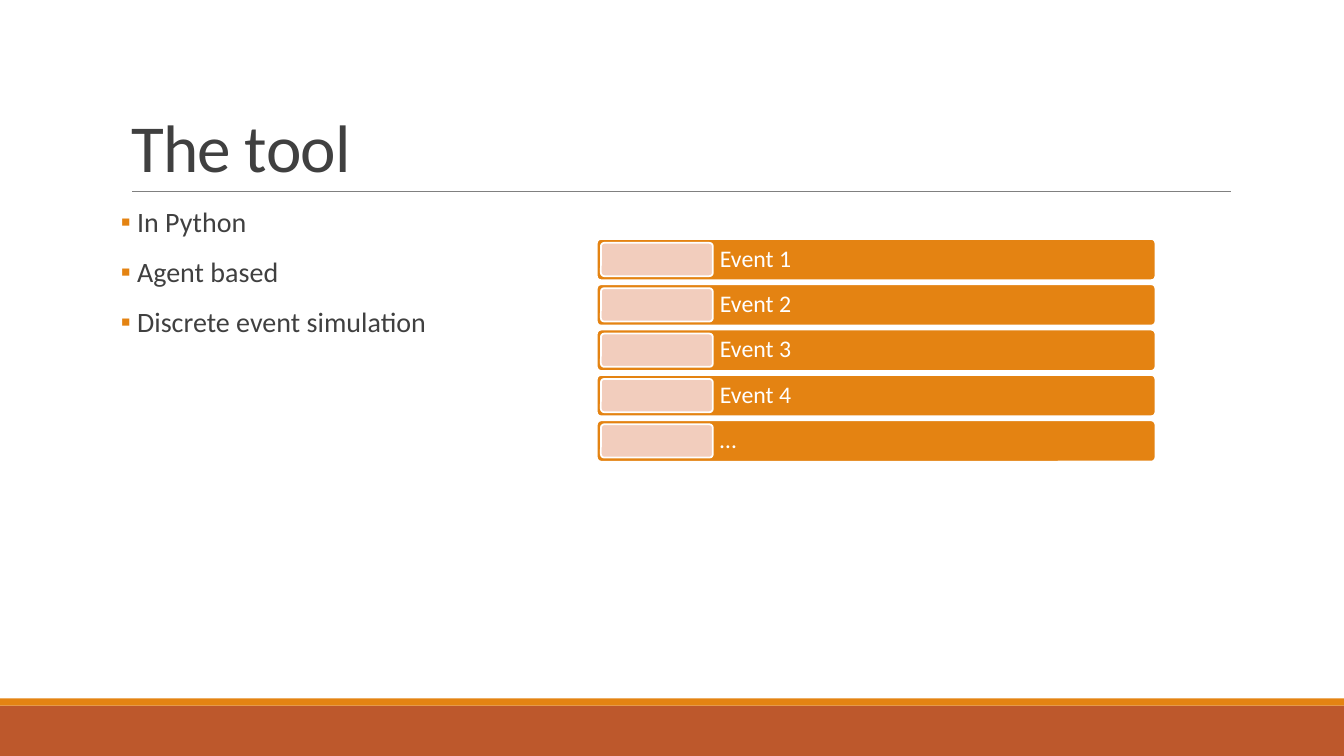
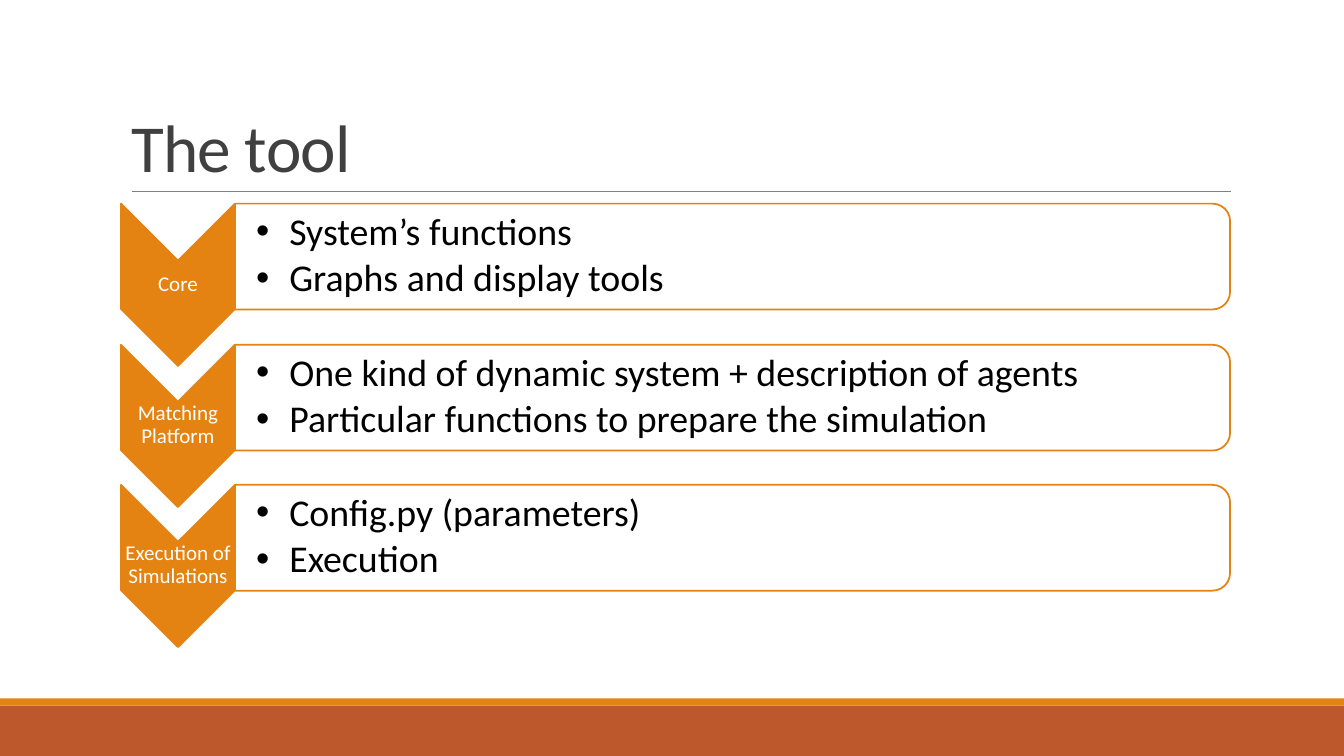
import dataclasses
import typing

import lxml.etree
import pptx
import pptx.dml.color
import pptx.enum.shapes
import pptx.enum.text
import pptx.oxml.ns
import pptx.util

EMU_PER_PX = 9144
FONT = "Calibri"
ORANGE = "E48312"
RUST = "BD582C"
PINK = "F2CDBD"
WHITE = "FFFFFF"
BLACK = "000000"
INK = "404040"
GREY = "808080"

SHAPE = pptx.enum.shapes.MSO_SHAPE
ALIGN = pptx.enum.text.PP_ALIGN
ANCHOR = pptx.enum.text.MSO_ANCHOR


@dataclasses.dataclass(frozen=True)
class Area:
    left: int
    top: int
    width: int
    height: int

    def down(self, distance: int) -> "Area":
        return dataclasses.replace(self, top=self.top + distance)

    def turned(self) -> "Area":
        shift = (self.width - self.height) // 2
        return Area(self.left + shift, self.top - shift, self.height, self.width)


@dataclasses.dataclass(frozen=True)
class Bullet:
    sign: str
    font: str
    color: str
    indent: int


@dataclasses.dataclass(frozen=True)
class TextStyle:
    size: int
    color: str
    line_spacing: float = 0.9
    before: int = 0
    after: int = 0
    align: ALIGN = ALIGN.LEFT
    anchor: ANCHOR = ANCHOR.MIDDLE
    insets: tuple[int, int, int, int] = (0, 0, 0, 0)
    bullet: typing.Optional[Bullet] = None


@dataclasses.dataclass(frozen=True)
class Stage:
    name: str
    points: tuple[str, ...]


TITLE_STYLE = TextStyle(48, INK, 0.85, anchor=ANCHOR.BOTTOM, insets=(10, 5, 10, 5))
LIST_STYLE = TextStyle(20, INK, before=12, after=2, anchor=ANCHOR.TOP, insets=(0, 5, 0, 5),
                       bullet=Bullet("▪", FONT, ORANGE, 16))
EVENT_STYLE = TextStyle(17, WHITE, insets=(7, 7, 7, 7))
STAGE_STYLE = TextStyle(15, WHITE, align=ALIGN.CENTER, insets=(1, 1, 1, 1))
POINT_STYLE = TextStyle(27, BLACK, after=4, insets=(21, 2, 2, 2),
                        bullet=Bullet("•", "Arial", BLACK, 33))

FEATURES = ("In Python", "Agent based", "Discrete event simulation")
EVENTS = ("Event 1", "Event 2", "Event 3", "Event 4", "…")
EVENT_PITCH = 45
STAGES = (
    Stage("Core", ("System’s functions", "Graphs and display tools")),
    Stage("Matching Platform", ("One kind of dynamic system + description of agents",
                                "Particular functions to prepare the simulation")),
    Stage("Execution of Simulations", ("Config.py (parameters)", "Execution")),
)
STAGE_PITCH = 139.5


def px(length: int) -> pptx.util.Emu:
    return pptx.util.Emu(length * EMU_PER_PX)


def rgb(color: str) -> pptx.dml.color.RGBColor:
    return pptx.dml.color.RGBColor.from_string(color)


def frame_of(area: Area) -> tuple:
    return px(area.left), px(area.top), px(area.width), px(area.height)


def add_bullet(paragraph, bullet: Bullet) -> None:
    properties = paragraph._p.get_or_add_pPr()
    properties.set("marL", str(px(bullet.indent)))
    properties.set("indent", str(-px(bullet.indent)))
    name = pptx.oxml.ns.qn
    color = lxml.etree.SubElement(properties, name("a:buClr"))
    lxml.etree.SubElement(color, name("a:srgbClr"), val=bullet.color)
    lxml.etree.SubElement(properties, name("a:buFont"), typeface=bullet.font)
    lxml.etree.SubElement(properties, name("a:buChar"), char=bullet.sign)


def write(box, lines: typing.Sequence[str], style: TextStyle) -> None:
    frame = box.text_frame
    frame.word_wrap = True
    frame.auto_size = pptx.enum.text.MSO_AUTO_SIZE.NONE
    frame.vertical_anchor = style.anchor
    (frame.margin_left, frame.margin_top,
     frame.margin_right, frame.margin_bottom) = map(px, style.insets)
    frame.text = "\n".join(lines)
    for index, paragraph in enumerate(frame.paragraphs):
        paragraph.alignment = style.align
        paragraph.line_spacing = style.line_spacing
        paragraph.space_before = pptx.util.Pt(style.before if index else 0)
        paragraph.space_after = pptx.util.Pt(style.after)
        if style.bullet:
            add_bullet(paragraph, style.bullet)
        paragraph.font.name = FONT
        paragraph.font.size = pptx.util.Pt(style.size)
        paragraph.font.color.rgb = rgb(style.color)


def fill_placeholder(box, area: Area, lines: typing.Sequence[str], style: TextStyle) -> None:
    box.left, box.top, box.width, box.height = frame_of(area)
    write(box, lines, style)


def add_label(page, area: Area, lines: typing.Sequence[str], style: TextStyle) -> None:
    write(page.shapes.add_textbox(*frame_of(area)), lines, style)


def add_block(page, kind: SHAPE, area: Area, fill: str, line: typing.Optional[str] = None,
              rotation: int = 0):
    block = page.shapes.add_shape(kind, *frame_of(area))
    block.shadow.inherit = False
    block.rotation = rotation
    block.fill.solid()
    block.fill.fore_color.rgb = rgb(fill)
    if line:
        block.line.color.rgb = rgb(line)
        block.line.width = pptx.util.Pt(1.25)
    else:
        block.line.fill.background()
    return block


def add_page(deck, layout_index: int):
    page = deck.slides.add_slide(deck.slide_layouts[layout_index])
    add_block(page, SHAPE.RECTANGLE, Area(0, 700, 1333, 50), RUST)
    add_block(page, SHAPE.RECTANGLE, Area(0, 693, 1333, 7), ORANGE)
    rule = page.shapes.add_connector(pptx.enum.shapes.MSO_CONNECTOR.STRAIGHT,
                                     px(131), px(190), px(1221), px(190))
    rule.line.color.rgb = rgb(GREY)
    rule.line.width = pptx.util.Pt(0.5)
    lxml.etree.SubElement(rule._element.spPr, pptx.oxml.ns.qn("a:effectLst"))
    title = page.shapes.title
    fill_placeholder(title, Area(120, 31, 1100, 159), ["The tool"], TITLE_STYLE)
    for span in title.text_frame.paragraphs[0].runs:
        span._r.get_or_add_rPr().set("spc", "-50")
    return page


def add_event(page, name: str, offset: int) -> None:
    bar = Area(592, 237, 554, 41).down(offset)
    tab = Area(596, 241, 111, 33).down(offset)
    for area, color in ((bar, ORANGE), (tab, PINK)):
        block = add_block(page, SHAPE.ROUNDED_RECTANGLE, area, color, WHITE)
        block.adjustments[0] = 0.1
    add_label(page, Area(707, 237, 439, 41).down(offset), [name], EVENT_STYLE)


def add_stage(page, stage: Stage, offset: int) -> None:
    chevron = Area(120, 202, 113, 161).down(offset)
    panel = Area(233, 202, 987, 105).down(offset)
    add_block(page, SHAPE.CHEVRON, chevron.turned(), ORANGE, ORANGE, 90)
    add_label(page, Area(120, 258, 113, 48).down(offset), [stage.name], STAGE_STYLE)
    add_block(page, SHAPE.ROUND_2_SAME_RECTANGLE, panel.turned(), WHITE, ORANGE, 90)
    add_label(page, Area(233, 207, 982, 94).down(offset), stage.points, POINT_STYLE)


def build_events_page(deck) -> None:
    page = add_page(deck, 1)
    fill_placeholder(page.placeholders[1], Area(120, 202, 1100, 440), FEATURES, LIST_STYLE)
    for index, name in enumerate(EVENTS):
        add_event(page, name, index * EVENT_PITCH)


def build_stages_page(deck) -> None:
    page = add_page(deck, 5)
    for index, stage in enumerate(STAGES):
        add_stage(page, stage, round(index * STAGE_PITCH))


def main() -> None:
    deck = pptx.Presentation()
    deck.slide_width, deck.slide_height = px(1333), px(750)
    build_events_page(deck)
    build_stages_page(deck)
    deck.save("out.pptx")


if __name__ == "__main__":
    main()
